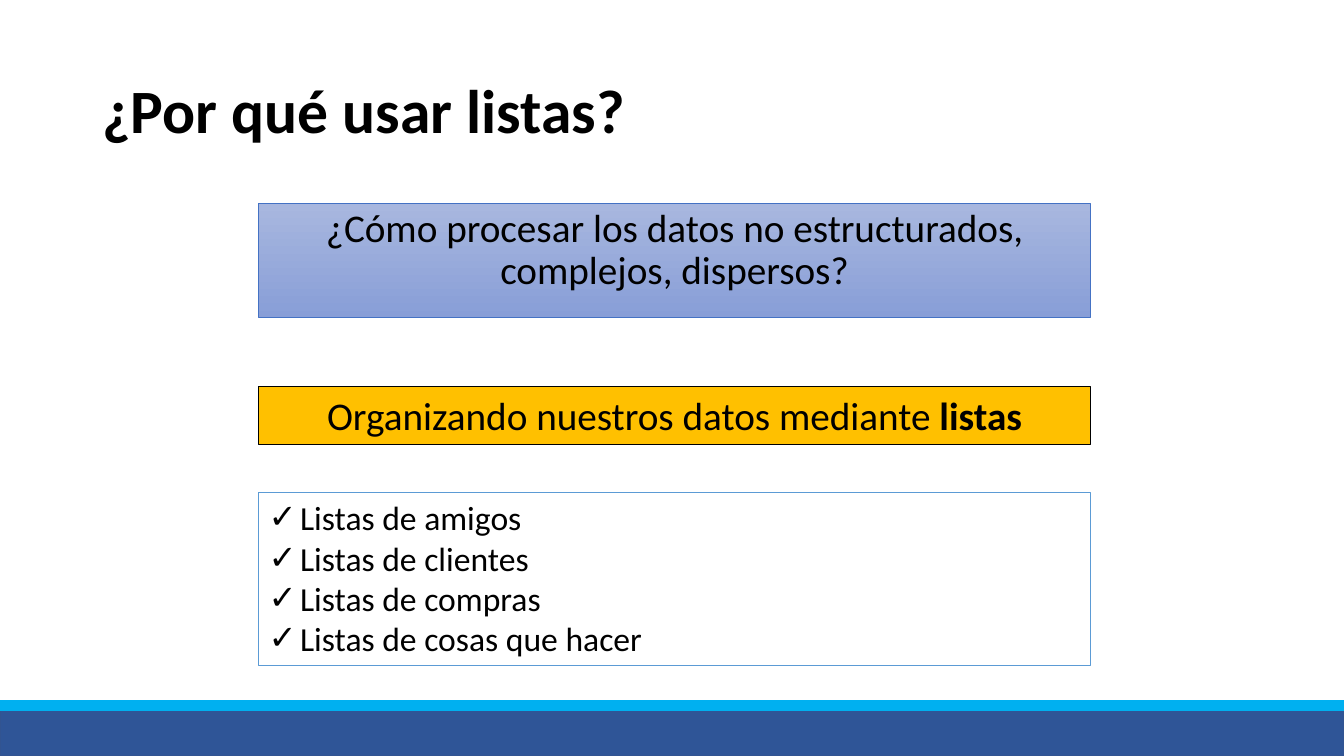
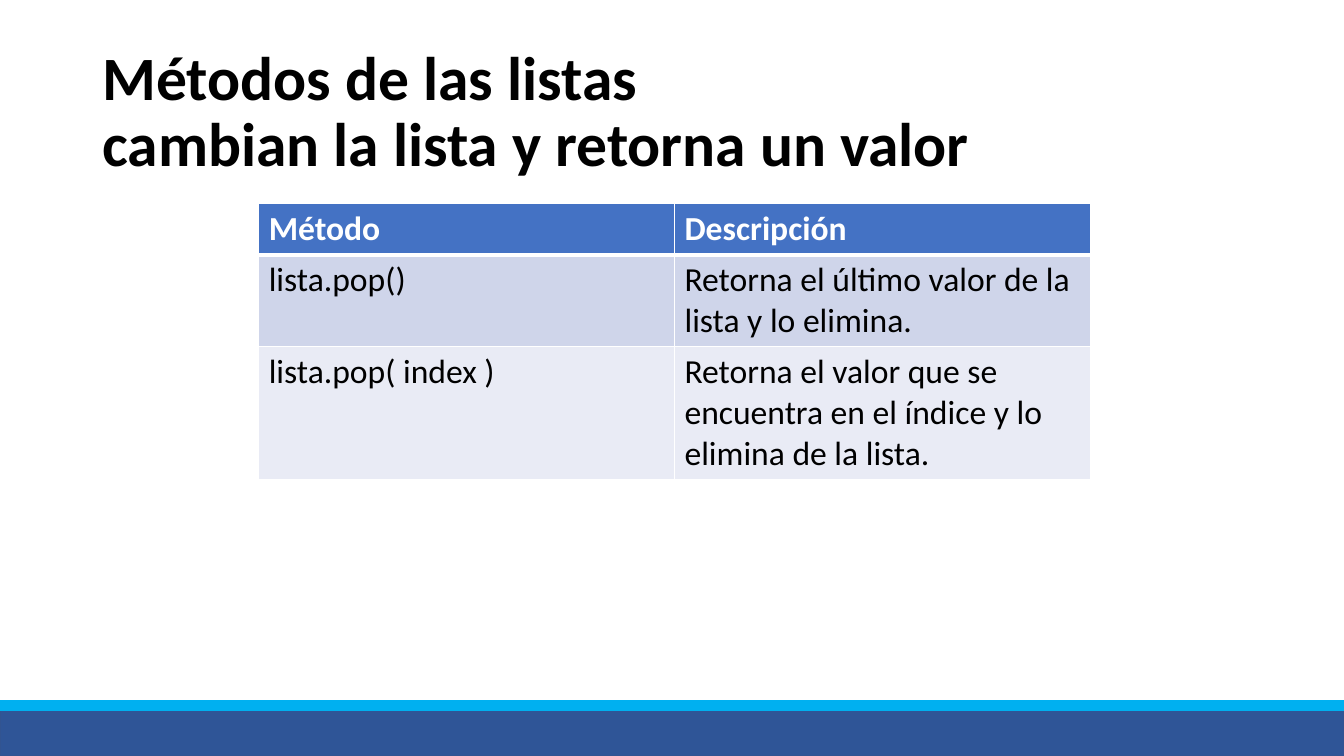
from lxml import etree
from pptx import Presentation
from pptx.dml.color import RGBColor as Color
from pptx.enum.shapes import MSO_SHAPE as Shape
from pptx.enum.text import MSO_ANCHOR as Anchor, MSO_AUTO_SIZE as AutoSize, PP_ALIGN as Align
from pptx.oxml.ns import qn
from pptx.util import Pt

# Content
REASONS_TITLE = ["¿Por qué usar listas?"]
QUESTION = "¿Cómo procesar los datos no estructurados, complejos, dispersos?"
ANSWER = [("Organizando nuestros datos mediante ", False), ("listas", True)]
EXAMPLES = ["Listas de amigos", "Listas de clientes", "Listas de compras",
            "Listas de cosas que hacer"]
METHODS_TITLE = ["Métodos de las listas", "cambian la lista y retorna un valor"]
METHODS = [
    ("Método", "Descripción"),
    ("lista.pop()", "Retorna el último valor de la lista y lo elimina."),
    ("lista.pop( index )",
     "Retorna el valor que se encuentra en el índice y lo elimina de la lista."),
]

# Colours
BLACK = Color(0x00, 0x00, 0x00)
WHITE = Color(0xFF, 0xFF, 0xFF)
BLUE = Color(0x44, 0x72, 0xC4)
LIGHT_BLUE = Color(0x5B, 0x9B, 0xD5)
GOLD = Color(0xFF, 0xC0, 0x00)
GRADIENT = [Color(0xA8, 0xB7, 0xDF), Color(0x88, 0x9E, 0xD7)]
ROW_FILLS = [BLUE, Color(0xCF, 0xD5, 0xEA), Color(0xE9, 0xEB, 0xF5)]

# Measures in points
PAGE_WIDTH, PAGE_HEIGHT = 960, 540
TITLE_AREA = (66, 28.8, 828, 104.4)
LEFT, TOP, WIDTH = 184.8, 145.4, 594
QUESTION_AREA = (LEFT, TOP, WIDTH, 81.6)
ANSWER_AREA = (LEFT, 276, WIDTH, 41.2)
EXAMPLES_AREA = (LEFT, 351.6, WIDTH, 123.7)
ROW_HEIGHTS = [36, 65, 94]
BULLET_INDENT = 22.5
# Bands: top, height, fill, line
BANDS = [
    (506.5, 33.5, Color(0x2F, 0x55, 0x97), Color(0x32, 0x54, 0x91)),
    (500.4, 7.2, Color(0x00, 0xB0, 0xF0), Color(0x00, 0xB0, 0xF0)),
]

# Text formats
TITLE = {"size": Pt(44), "bold": True}
LEAD = {"size": Pt(28), "bold": False}
DETAIL = {"size": Pt(24), "bold": False}


def points(area):
    return [Pt(value) for value in area]


def place(shape, area):
    shape.left, shape.top, shape.width, shape.height = points(area)


def add_span(para, text, style, color=BLACK):
    span = para.add_run()
    span.text = text
    for name, value in {"name": "Calibri", **style}.items():
        setattr(span.font, name, value)
    span.font.color.rgb = color


def set_outline(shape, color, width):
    shape.line.color.rgb = color
    shape.line.width = Pt(width)


def set_bullet(para, char=None, indent=0):
    props = para._p.get_or_add_pPr()
    props.set("marL", str(Pt(indent)))
    props.set("indent", str(-Pt(indent)))
    if char:
        etree.SubElement(props, qn("a:buFont"), typeface="Calibri")
        etree.SubElement(props, qn("a:buChar"), char=char)
    else:
        etree.SubElement(props, qn("a:buNone"))


def set_borders(cell, widths):
    props = cell._tc.get_or_add_tcPr()
    for side, width in zip("LRTB", widths):
        line = etree.SubElement(props, qn(f"a:ln{side}"), w=str(Pt(width)))
        fill = etree.SubElement(line, qn("a:solidFill"))
        etree.SubElement(fill, qn("a:srgbClr"), val=str(WHITE))


def add_page(deck, layout, title_lines):
    """Page with the shared bands and title style."""
    page = deck.slides.add_slide(deck.slide_layouts[layout])
    for top, height, fill, line in BANDS:
        band = page.shapes.add_shape(Shape.RECTANGLE, *points((0, top, PAGE_WIDTH, height)))
        band.shadow.inherit = False
        band.fill.solid()
        band.fill.fore_color.rgb = fill
        set_outline(band, line, 1)

    title = page.shapes.title
    place(title, TITLE_AREA)
    frame = title.text_frame
    frame.auto_size = AutoSize.NONE
    frame.vertical_anchor = Anchor.MIDDLE
    para = frame.paragraphs[0]
    para.alignment = Align.LEFT
    para.line_spacing = 0.9
    for index, line in enumerate(title_lines):
        if index:
            para.add_line_break()
        add_span(para, line, TITLE)
    return page


def add_panel(page, area, fill, line, line_width):
    box = page.shapes.add_textbox(*points(area))
    box.fill.solid()
    box.fill.fore_color.rgb = fill
    set_outline(box, line, line_width)
    box.text_frame.word_wrap = True
    return box.text_frame


def build_reasons(deck):
    page = add_page(deck, 1, REASONS_TITLE)

    # Question
    body = page.placeholders[1]
    place(body, QUESTION_AREA)
    body.fill.gradient()
    body.fill.gradient_angle = 270
    for stop, color in zip(body.fill.gradient_stops, GRADIENT):
        stop.color.rgb = color
    set_outline(body, BLUE, 0.5)
    body.text_frame.auto_size = AutoSize.NONE
    para = body.text_frame.paragraphs[0]
    set_bullet(para)
    para.alignment = Align.CENTER
    para.line_spacing = 0.9
    para.space_before = Pt(0)
    add_span(para, QUESTION, LEAD)

    # Answer
    para = add_panel(page, ANSWER_AREA, GOLD, BLACK, 0.75).paragraphs[0]
    para.alignment = Align.CENTER
    for text, bold in ANSWER:
        add_span(para, text, {**LEAD, "bold": bold})

    # Examples
    frame = add_panel(page, EXAMPLES_AREA, WHITE, LIGHT_BLUE, 1)
    for index, example in enumerate(EXAMPLES):
        para = frame.add_paragraph() if index else frame.paragraphs[0]
        set_bullet(para, "✓", BULLET_INDENT)
        add_span(para, example, DETAIL)


def build_methods(deck):
    page = add_page(deck, 5, METHODS_TITLE)
    area = (LEFT, TOP, WIDTH, sum(ROW_HEIGHTS))
    table = page.shapes.add_table(len(METHODS), len(METHODS[0]), *points(area)).table
    for row, (texts, height, fill) in enumerate(zip(METHODS, ROW_HEIGHTS, ROW_FILLS)):
        header = row == 0
        table.rows[row].height = Pt(height)
        for column, text in enumerate(texts):
            cell = table.cell(row, column)
            set_borders(cell, (1, 1, 3 if row == 1 else 1, 3 if header else 1))
            cell.fill.solid()
            cell.fill.fore_color.rgb = fill
            add_span(cell.text_frame.paragraphs[0], text, {**DETAIL, "bold": header},
                     WHITE if header else BLACK)


def main():
    deck = Presentation()
    deck.slide_width, deck.slide_height = Pt(PAGE_WIDTH), Pt(PAGE_HEIGHT)
    build_reasons(deck)
    build_methods(deck)
    deck.save("out.pptx")


if __name__ == "__main__":
    main()
